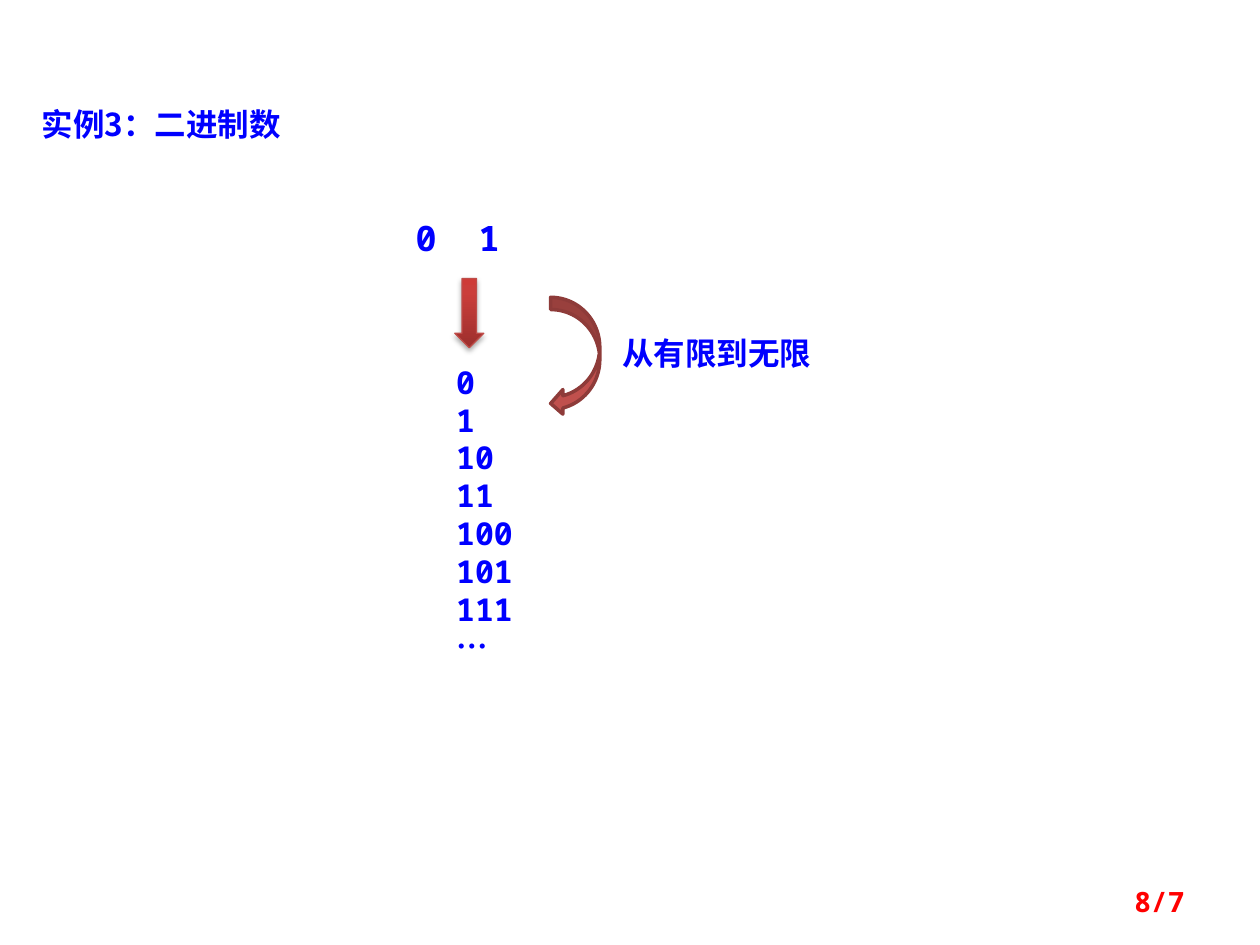
import copy
from dataclasses import dataclass

import lxml.etree
import pptx
import pptx.dml.color
import pptx.enum.shapes
import pptx.enum.text
import pptx.oxml
import pptx.oxml.ns
import pptx.util

SHAPE = pptx.enum.shapes.MSO_SHAPE
ALIGN = pptx.enum.text.PP_ALIGN
ANCHOR = pptx.enum.text.MSO_ANCHOR
qn = pptx.oxml.ns.qn


@dataclass(frozen=True)
class Theme:
    mono: str = "Noto Sans Mono"
    chinese: str = "Noto Sans CJK SC"
    ink: str = "0000FF"
    page: str = "FF0000"
    arrow_line: str = "BF4C48"
    arrow_stops: tuple = ((0, "9C2F2D"), (0.8, "CB3E3A"), (1, "CE3B37"))
    curve_fill: str = "C0504D"
    curve_line: str = "8E3B39"
    digits_size: int = 20
    text_size: int = 18
    page_size: int = 16


def rgb(value):
    return pptx.dml.color.RGBColor.from_string(value)


class SlideBuilder:
    COLUMNS, ROWS = 100, 75

    def __init__(self, theme):
        self.theme = theme
        self.deck = pptx.Presentation()
        self.deck.slide_width = pptx.util.Inches(10)
        self.deck.slide_height = pptx.util.Inches(7.5)
        self.slide = self.deck.slides.add_slide(self.deck.slide_layouts[1])

    def box(self, left, top, width, height):
        column = self.deck.slide_width / self.COLUMNS
        row = self.deck.slide_height / self.ROWS
        return [round(n * unit) for n, unit in
                zip((left, top, width, height), (column, row, column, row))]

    def set_text(self, holder, lines, size, color=None, align=ALIGN.LEFT,
                 anchor=ANCHOR.TOP, tab=None):
        frame = holder.text_frame
        frame.text = "\n".join(lines)
        frame_format = {
            "word_wrap": True,
            "auto_size": pptx.enum.text.MSO_AUTO_SIZE.NONE,
            "vertical_anchor": anchor,
        }
        for name, value in frame_format.items():
            setattr(frame, name, value)
        paragraph_format = {"alignment": align, "space_before": pptx.util.Pt(0)}
        for paragraph in frame.paragraphs:
            for name, value in paragraph_format.items():
                setattr(paragraph, name, value)
            properties = paragraph._p.get_or_add_pPr()
            properties.set("marL", "0")
            properties.set("indent", "0")
            lxml.etree.SubElement(properties, qn("a:buNone"))
            if tab:
                stops = lxml.etree.SubElement(properties, qn("a:tabLst"))
                lxml.etree.SubElement(stops, qn("a:tab"), algn="l",
                                      pos=str(pptx.util.Inches(tab)))
            for run in paragraph.runs:
                latin = self.theme.mono if run.text.isascii() else self.theme.chinese
                font_format = {"name": latin, "size": pptx.util.Pt(size), "bold": True}
                for name, value in font_format.items():
                    setattr(run.font, name, value)
                run.font.color.rgb = rgb(color or self.theme.ink)
                lxml.etree.SubElement(run._r.get_or_add_rPr(), qn("a:ea"),
                                      typeface=self.theme.chinese)

    def place(self, holder, at):
        for name, value in zip(("left", "top", "width", "height"), self.box(*at)):
            setattr(holder, name, value)

    def title(self, heading, at):
        holder = self.slide.shapes.title
        self.place(holder, at)
        self.set_text(holder, [heading], self.theme.text_size)

    def listing(self, items, at):
        holder = self.slide.placeholders[1]
        self.place(holder, at)
        self.set_text(holder, items, self.theme.text_size)

    def label(self, words, at, size, **style):
        holder = self.slide.shapes.add_textbox(*self.box(*at))
        self.set_text(holder, [words], size, **style)

    def arrow(self, kind, at, line, weight):
        arrow = self.slide.shapes.add_shape(kind, *self.box(*at))
        arrow.line.color.rgb = rgb(line)
        arrow.line.width = pptx.util.Pt(weight)
        arrow.shadow.inherit = False
        return arrow

    def curved_arrow(self, at):
        curve = self.arrow(SHAPE.CURVED_LEFT_ARROW, at, self.theme.curve_line, 2)
        curve.fill.solid()
        curve.fill.fore_color.rgb = rgb(self.theme.curve_fill)

    def down_arrow(self, at):
        arrow = self.arrow(SHAPE.DOWN_ARROW, at, self.theme.arrow_line, 0.75)
        arrow.fill.gradient()
        arrow.fill.gradient_angle = 90
        stop_list = arrow._element.spPr.find(qn("a:gradFill")).find(qn("a:gsLst"))
        stop_list.append(copy.deepcopy(stop_list[-1]))
        for stop, (position, color) in zip(arrow.fill.gradient_stops,
                                           self.theme.arrow_stops):
            stop.position = position
            stop.color.rgb = rgb(color)
        effects = arrow._element.spPr.find(qn("a:effectLst"))
        shadow = lxml.etree.SubElement(
            effects, qn("a:outerShdw"), blurRad=str(pptx.util.Pt(3.1)),
            dist=str(pptx.util.Pt(1.8)), dir="5400000", rotWithShape="0")
        black = lxml.etree.SubElement(shadow, qn("a:srgbClr"), val="000000")
        lxml.etree.SubElement(black, qn("a:alpha"), val="35000")


def main():
    theme = Theme()
    builder = SlideBuilder(theme)
    builder.title("实例3：二进制数", (2.3, 7.8, 25, 4))
    builder.label("0\t1", (32, 16.7, 11.7, 4.4), theme.digits_size, tab=0.67)
    builder.down_arrow((36.1, 22.1, 2.3, 5.5))
    builder.listing(["0", "1", "10", "11", "100", "101", "111", "…"],
                    (35.2, 28.3, 13.3, 25.2))
    builder.curved_arrow((43.7, 23.6, 3.9, 9.4))
    builder.label("从有限到无限", (48.4, 26, 20.3, 4), theme.text_size)
    builder.label("8/7", (71.7, 69.5, 23.3, 4), theme.page_size, color=theme.page,
                  align=ALIGN.RIGHT, anchor=ANCHOR.MIDDLE)
    builder.deck.save("out.pptx")


if __name__ == "__main__":
    main()
